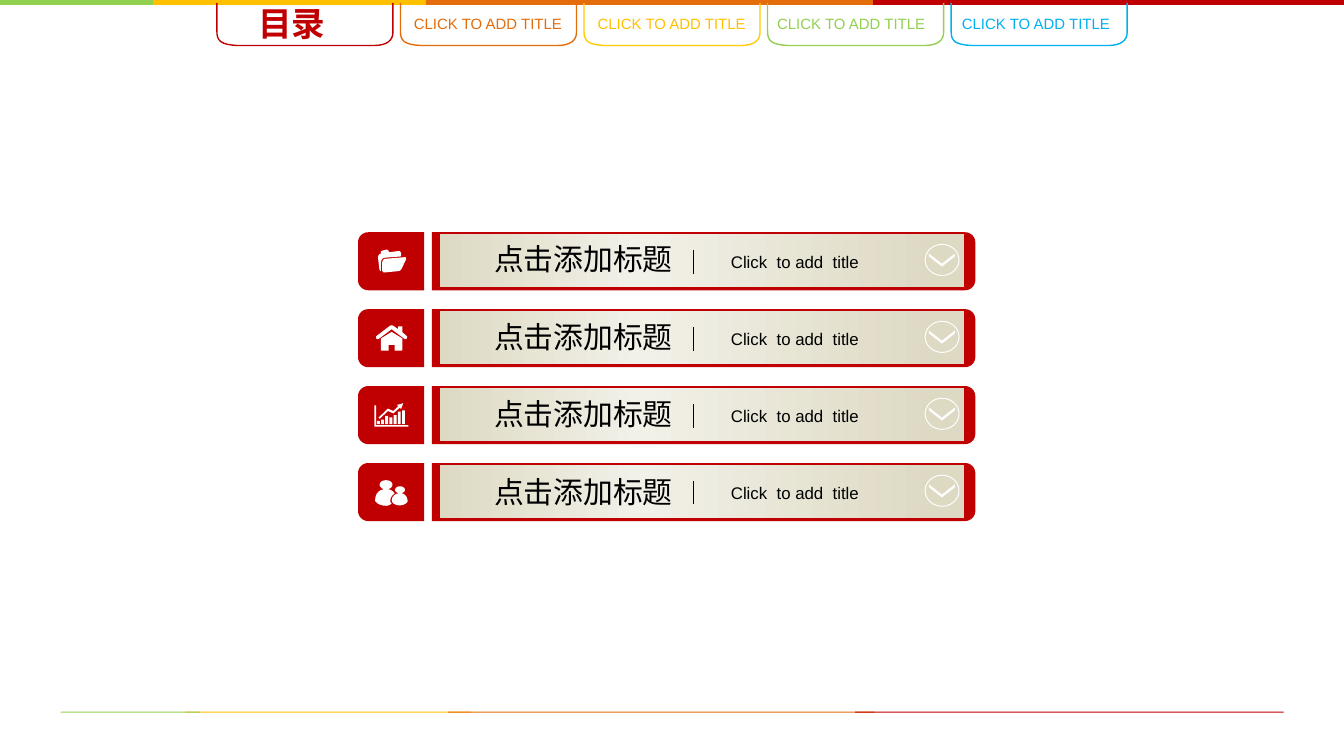
"""Build a contents slide with coloured tabs and four icon rows."""
from dataclasses import dataclass

from lxml import etree
from pptx import Presentation
from pptx.dml.color import RGBColor
from pptx.enum.shapes import MSO_CONNECTOR, MSO_SHAPE
from pptx.enum.text import MSO_AUTO_SIZE, PP_ALIGN
from pptx.oxml.ns import qn
from pptx.util import Pt

RECTANGLE = MSO_SHAPE.RECTANGLE
OVAL = MSO_SHAPE.OVAL
CHEVRON = MSO_SHAPE.CHEVRON
STRAIGHT = MSO_CONNECTOR.STRAIGHT
FIT_SHAPE = MSO_AUTO_SIZE.SHAPE_TO_FIT_TEXT
JUSTIFY = PP_ALIGN.JUSTIFY
LEFT = PP_ALIGN.LEFT


@dataclass(frozen=True)
class Theme:
    red: str = "C00000"
    orange: str = "E46C0A"
    yellow: str = "FFC000"
    tab_yellow: str = "FFCC00"
    green: str = "92D050"
    blue: str = "00B0F0"
    white: str = "FFFFFF"
    black: str = "000000"
    gradient: tuple = ((0, "DDD9C3"), (38, "F2F1E8"), (95, "DDD9C3"))
    latin: str = "Arial"
    chinese: str = "Noto Sans CJK SC"
    heading: int = 18
    row_title: int = 16
    row_note: int = 9
    tab: int = 8


THEME = Theme()
ROW_TOP, ROW_GAP, TITLE_GAP = 124.4, 41.22, 41.7
BADGE_LEFT, PANEL_LEFT = 191.8, 231.3
TAB_LEFT, TAB_TOP, TAB_GAP = 116.2, 1.5, 98.33

BADGE = [(5.6, 0), (35.4, 0), (35.4, 31.1), (5.6, 31.1),
         (2.5, 31.1, 0, 28.7, 0, 25.6), (0, 5.5), (0, 2.4, 2.5, 0, 5.6, 0)]
PANEL = [(0, 0), (285.6, 0), (288.7, 0, 291.2, 2.4, 291.2, 5.5), (291.2, 25.6),
         (291.2, 28.7, 288.7, 31.1, 285.6, 31.1), (0, 31.1)]
TAB = [(94.3, 0), (94.3, 15.9), (94.3, 20.2, 91, 22.9, 84.2, 22.9), (11, 22.9),
       (1.8, 22.5, 0, 20.2, 0, 15.2), (0, 0)]
FOLDER = [
    [(23, 13), (23.4, 10.8, 22.6, 9.9, 21.6, 10.1), (16.6, 10.8),
     (16.4, 9.6, 15.8, 9.3, 15.1, 9.4), (13, 9.9), (12.3, 10, 12.1, 10.7, 12.2, 11.5),
     (11, 11.8, 10.6, 12.9, 10.8, 14.4), (11.4, 19.4), (11.5, 20.3, 11.8, 20.8, 12.3, 20.9),
     (12.3, 16.6), (12.3, 14.9, 13, 13.8, 14.4, 13.7)],
    [(25.1, 13.4), (14.6, 14.3), (13.6, 14.4, 13, 15.3, 13, 16.6), (13, 20.5),
     (13, 21.2, 13.6, 21.7, 14.5, 21.6), (21.6, 20.9), (22.4, 20.8, 23, 20.3, 23.4, 19.5),
     (25.5, 15.2), (26, 14.1, 25.9, 13.4, 25.1, 13.4)],
]
HOUSE = [
    [(12.2, 15.8), (12.2, 21.6), (12.2, 22, 12.5, 22.3, 12.9, 22.3), (16.4, 22.3),
     (16.4, 19.2), (19.6, 19.2), (19.6, 22.3), (23, 22.3),
     (23.4, 22.3, 23.8, 22, 23.8, 21.6), (23.8, 15.8), (18, 12.2)],
    [(26, 14.3), (23.8, 12.4), (23.8, 9.2), (21.5, 9.2), (21.5, 10.7), (18.8, 8.9),
     (18.4, 8.6, 17.7, 8.6, 17.2, 8.9), (10.1, 14.3), (9.6, 14.7, 9.5, 15.4, 9.9, 15.8),
     (10.2, 16.2, 10.8, 16.2, 11.2, 15.9), (18, 10.8), (24.8, 15.9),
     (25.2, 16.2, 25.8, 16.2, 26.1, 15.8), (26.5, 15.4, 26.5, 14.7, 26, 14.3)],
]
BAR_HEIGHTS = (1.8, 2.4, 4.4, 3.7, 4.8, 6.7, 7.4)
CHART = [
    [(8.8, 10.4), (9.7, 10.4), (9.7, 20.9), (26.9, 20.9), (26.9, 21.8), (8.8, 21.8)],
    [(22.3, 9.8), (20.9, 10.1), (21.6, 10.8), (18.9, 13.4), (16, 12.1), (11, 17),
     (11.6, 17.6), (16.1, 13.4), (19, 14.7), (22.4, 11.6), (23.1, 12.3), (23.6, 11), (24.2, 9.2)],
]
PEOPLE = [
    [(18, 21.7), (17.5, 21.3, 17.3, 20.8, 17.3, 20.2), (17.3, 18.4, 18.3, 17.1, 19.6, 16.4),
     (19, 15.2, 18, 14.5, 16.8, 14.2), (16.1, 14), (17.5, 13.6, 18.4, 12.7, 18.4, 11.6),
     (18.4, 10.2, 16.9, 9.2, 15, 9.2), (13.1, 9.2, 11.6, 10.2, 11.6, 11.6),
     (11.6, 12.7, 12.6, 13.6, 13.9, 14), (13.2, 14.2), (10.8, 14.7, 9.2, 17, 9.2, 19.6),
     (9.2, 20.4), (10.4, 22, 12.6, 22.9, 15, 22.9), (16.2, 22.9, 17.3, 22.4, 18, 21.7)],
    [(23.6, 16.3), (23, 16.2), (24.3, 16, 25.1, 15.3, 25.1, 14.4),
     (25.1, 13.3, 23.9, 12.5, 22.5, 12.5), (21, 12.5, 19.9, 13.3, 19.9, 14.4),
     (19.9, 15.3, 20.7, 16, 22, 16.2), (21.4, 16.3), (19.5, 16.7, 18.1, 18.2, 18.1, 20),
     (18.1, 20.8, 18.5, 21.3, 19.2, 21.8), (20.1, 22.4, 21.2, 22.7, 22.4, 22.7),
     (24, 22.7, 25.5, 22, 26.5, 20.9), (26.7, 18.7, 25.4, 16.7, 23.6, 16.3)],
]
ICONS = (FOLDER, HOUSE, CHART, PEOPLE)


def rgb(value):
    return RGBColor.from_string(value)


def flatten(path, steps=8):
    points = [path[0]]
    for segment in path[1:]:
        if len(segment) == 2:
            points.append(segment)
            continue
        controls = [points[-1], segment[:2], segment[2:4], segment[4:]]
        for step in range(1, steps + 1):
            t = step / steps
            weights = ((1 - t) ** 3, 3 * t * (1 - t) ** 2, 3 * t * t * (1 - t), t ** 3)
            points.append(tuple(sum(w * c[axis] for w, c in zip(weights, controls))
                                for axis in (0, 1)))
    return points


def paint(shape, fill=None, line=None, width=0.5):
    shape.shadow.inherit = False
    if fill:
        shape.fill.solid()
        shape.fill.fore_color.rgb = rgb(fill)
    else:
        shape.fill.background()
    if line:
        shape.line.color.rgb = rgb(line)
        shape.line.width = Pt(width)
    else:
        shape.line.fill.background()
    return shape


def add_outline(page, left, top, path, fill=None, line=None):
    points = [(Pt(left + x), Pt(top + y)) for x, y in flatten(path)]
    builder = page.shapes.build_freeform(*points[0], scale=1.0)
    builder.add_line_segments(points[1:], close=fill is not None)
    return paint(builder.convert_to_shape(), fill, line, 0.75)


def add_preset(page, kind, left, top, width, height, fill=None, line=None):
    shape = page.shapes.add_shape(kind, Pt(left), Pt(top), Pt(width), Pt(height))
    return paint(shape, fill, line)


def add_gradient(shape):
    shape.fill.gradient()
    shape.fill.gradient_angle = 0
    stops = shape._element.spPr.find(qn("a:gradFill")).find(qn("a:gsLst"))
    stops.clear()
    for position, color in THEME.gradient:
        stop = etree.SubElement(stops, qn("a:gs"), pos=str(position * 1000))
        etree.SubElement(stop, qn("a:srgbClr"), val=color)


def add_text(page, left, top, width, height, text, size, color, font,
             align=JUSTIFY, bold=False, wrap=False):
    box = page.shapes.add_textbox(Pt(left), Pt(top), Pt(width), Pt(height))
    box.text_frame.word_wrap = wrap
    box.text_frame.auto_size = FIT_SHAPE
    para = box.text_frame.paragraphs[0]
    para.alignment = align
    span = para.add_run()
    span.text = text
    span.font.size = Pt(size)
    span.font.bold = bold
    span.font.color.rgb = rgb(color)
    span.font.name = font
    etree.SubElement(span.font._element, qn("a:ea"), typeface=font)


def add_divider(page, x, top, bottom):
    divider = page.shapes.add_connector(STRAIGHT, Pt(x), Pt(top), Pt(x), Pt(bottom))
    divider.line.color.rgb = rgb(THEME.black)
    divider.line.width = Pt(0.5)
    etree.SubElement(divider._element.spPr, qn("a:effectLst"))


def add_row(page, index, icon):
    top = ROW_TOP + index * ROW_GAP
    add_outline(page, BADGE_LEFT, top, BADGE, THEME.red)
    for path in icon:
        add_outline(page, BADGE_LEFT, top, path, THEME.white)
    if icon is CHART:
        for bar, height in enumerate(BAR_HEIGHTS):
            add_preset(page, RECTANGLE, BADGE_LEFT + 10.1 + bar * 2.25, top + 20.4 - height,
                       1.6, height, THEME.white)
    add_outline(page, PANEL_LEFT, top, PANEL, THEME.red)
    add_gradient(add_preset(page, RECTANGLE, 235.7, top + 1.1, 280.8, 28.3))
    add_text(page, 257.6, 125.3 + index * TITLE_GAP, 111.6, 26.6, "点击添加标题",
             THEME.row_title, THEME.black, THEME.chinese, LEFT)
    add_text(page, 384.5, top + 6.9, 83.5, 18, "Click  to add  title",
             THEME.row_note, THEME.black, THEME.latin)
    add_preset(page, OVAL, 495.6, top + 6.5, 18.2, 16.7, line=THEME.white)
    arrow = add_preset(page, CHEVRON, 501.1, top + 8, 7, 13.9, THEME.white)
    arrow.adjustments[0] = 0.78
    arrow.rotation = 90
    add_divider(page, 371.5, top + 9.8, top + 22.2)


def add_bands(page, left, top, height, scale):
    bands = ((73.4, 168.2, THEME.yellow), (228.2, 251, THEME.orange),
             (467.8, 252.2, THEME.red), (0, 82.1, THEME.green))
    for start, width, color in bands:
        add_preset(page, RECTANGLE, left + start * scale, top, width * scale, height, color)


def add_tabs(page):
    tabs = ((214.6, THEME.orange, THEME.orange), (313.1, THEME.tab_yellow, THEME.yellow),
            (409.2, THEME.green, THEME.green), (508.2, THEME.blue, THEME.blue))
    for index, (text_left, edge, color) in enumerate(tabs, 1):
        add_outline(page, TAB_LEFT + index * TAB_GAP, TAB_TOP, TAB, line=edge)
        add_text(page, text_left, 4.2, 95.8, 17, "CLICK TO ADD TITLE",
                 THEME.tab, color, THEME.latin)
    add_outline(page, TAB_LEFT, TAB_TOP, TAB, line=THEME.red)
    add_text(page, 131.2, -2.2, 64, 29, "目录", THEME.heading, THEME.red,
             THEME.chinese, bold=True, wrap=True)


def main():
    deck = Presentation()
    deck.slide_width, deck.slide_height = Pt(720), Pt(405)
    page = deck.slides.add_slide(deck.slide_layouts[6])
    for index, icon in enumerate(ICONS):
        add_row(page, index, icon)
    add_bands(page, 0, 0, 2.7, 1)
    add_bands(page, 32.5, 381.3, 0.5, 0.91)
    add_tabs(page)
    deck.save("out.pptx")


if __name__ == "__main__":
    main()
